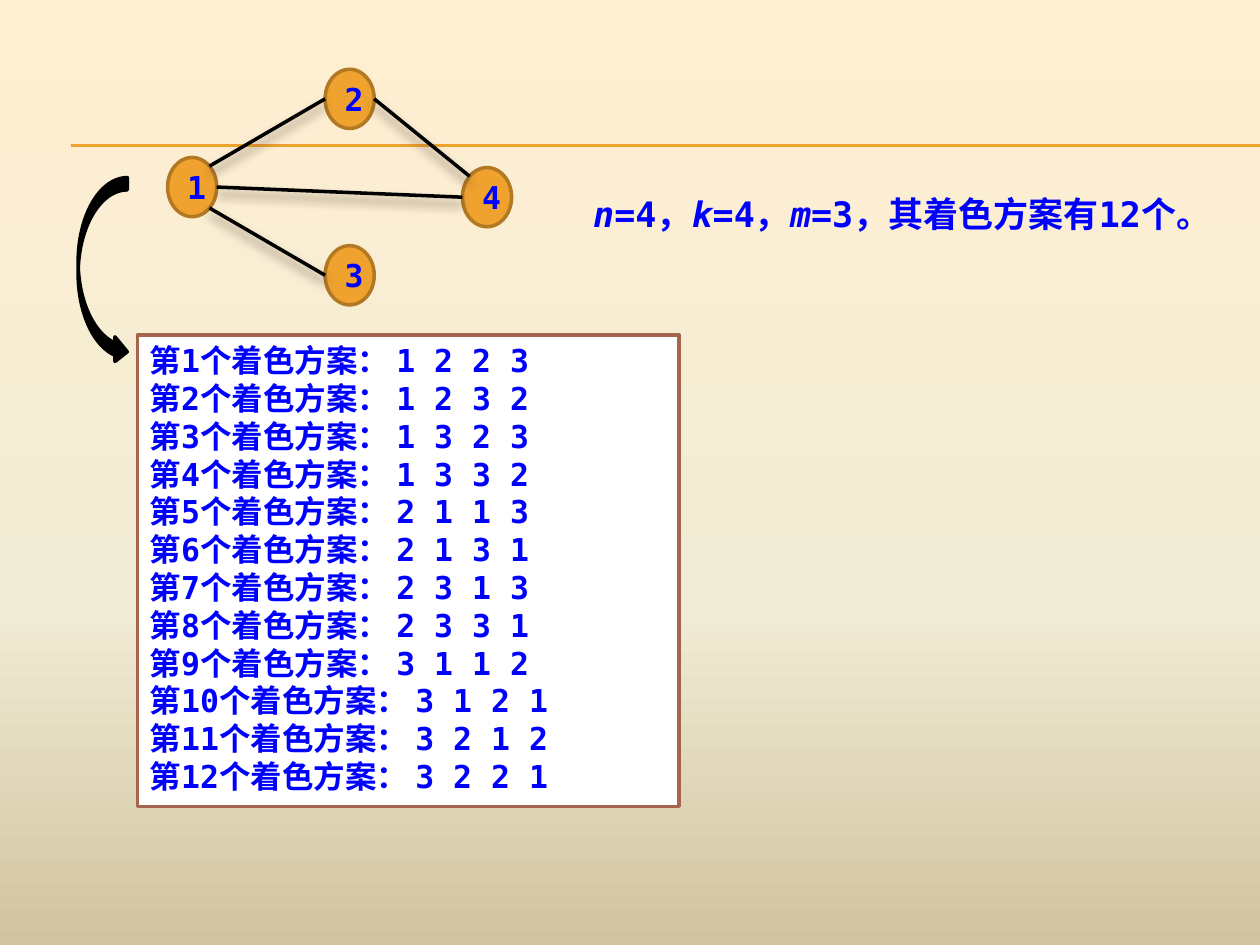
from copy import deepcopy
from math import sqrt

from lxml.etree import SubElement as Sub
from pptx import Presentation
from pptx.dml.color import RGBColor
from pptx.enum.shapes import MSO_CONNECTOR as Link, MSO_SHAPE as Form
from pptx.enum.text import MSO_ANCHOR as Anchor, PP_ALIGN as Align
from pptx.oxml.ns import qn
from pptx.util import Inches, Pt

FONT = "DejaVu Sans Mono"
INK, BLACK, GOLD = "0000FF", "000000", "F0A22E"
STOPS = [(0, "FFEFD1"), (65, "F0EBD5"), (100, "D1C39F")]
NODE_W, NODE_H = 0.39, 0.47
NODES = {"1": (0, 0.7), "2": (1.25, 0), "3": (1.25, 1.4), "4": (2.34, 0.78)}
DIAG = sqrt(0.5)
# Each end is a node and the direction from its centre to its rim.
EDGES = [
    (("1", DIAG, -DIAG), ("2", -1, 0)),
    (("1", DIAG, DIAG), ("3", -1, 0)),
    (("1", 1, 0), ("4", -1, 0)),
    (("2", 1, 0), ("4", -DIAG, -DIAG)),
]
PLANS = ["1 2 2 3", "1 2 3 2", "1 3 2 3", "1 3 3 2", "2 1 1 3", "2 1 3 1",
         "2 3 1 3", "2 3 3 1", "3 1 1 2", "3 1 2 1", "3 2 1 2", "3 2 2 1"]


def color(code):
    return RGBColor.from_string(code)


def paint_back(slide):
    fill = slide.background.fill
    fill.gradient()
    fill.gradient_angle = 270
    stops = slide._element.find(".//" + qn("a:gsLst"))
    stops.insert(1, deepcopy(stops[0]))
    for stop, (place, code) in zip(fill.gradient_stops, STOPS):
        stop.position = place / 100
        stop.color.rgb = color(code)


def add_run(para, text, size, slant=False):
    run = para.add_run()
    run.text = text
    font = run.font
    font.name, font.size, font.bold, font.italic = FONT, Pt(size), True, slant
    font.color.rgb = color(INK)


def add_form(slide, kind, box, fill, edge):
    shape = slide.shapes.add_shape(kind, *map(Inches, box))
    shape.shadow.inherit = False
    shape.fill.solid()
    shape.fill.fore_color.rgb = color(fill)
    shape.line.color.rgb = color(edge)
    shape.line.width = Pt(2)
    return shape


def add_line(slide, start, end, code, width):
    """Add a line and return its empty effect list."""
    line = slide.shapes.add_connector(
        Link.STRAIGHT, *map(Inches, (*start, *end)))
    line.line.color.rgb = color(code)
    line.line.width = Pt(width)
    return Sub(line._element.spPr, qn("a:effectLst"))


def add_shade(effects):
    shade = Sub(effects, qn("a:outerShdw"), blurRad=str(Pt(6)),
                dist=str(Pt(4)), dir="5400000", rotWithShape="0")
    tint = Sub(shade, qn("a:srgbClr"), val="4E3B30")
    Sub(tint, qn("a:alpha"), val="60000")


def add_graph(slide, left, top):
    def rim(name, across, down):
        x, y = NODES[name]
        return (left + x + NODE_W / 2 * (1 + across),
                top + y + NODE_H / 2 * (1 + down))

    for name, (x, y) in NODES.items():
        box = (left + x, top + y, NODE_W, NODE_H)
        frame = add_form(slide, Form.OVAL, box, GOLD, "B27822").text_frame
        frame.vertical_anchor = Anchor.MIDDLE
        para = frame.paragraphs[0]
        para.alignment = Align.CENTER
        add_run(para, name, 18)
    for start, end in EDGES:
        add_shade(add_line(slide, rim(*start), rim(*end), BLACK, 2))


def add_note(slide, box):
    frame = slide.shapes.add_textbox(*map(Inches, box)).text_frame
    frame.word_wrap = True
    parts = [("n", "=4，"), ("k", "=4，"), ("m", "=3，其着色方案有12个。")]
    for name, rest in parts:
        add_run(frame.paragraphs[0], name, 20, True)
        add_run(frame.paragraphs[0], rest, 20)


def add_plans(slide, box):
    frame = add_form(slide, Form.RECTANGLE, box, "FFFFFF", "A5644E").text_frame
    frame.vertical_anchor = Anchor.TOP
    for num, plan in enumerate(PLANS, 1):
        para = frame.paragraphs[0] if num == 1 else frame.add_paragraph()
        para.alignment = Align.LEFT
        add_run(para, f"第{num}个着色方案： {plan}", 18)


def main():
    deck = Presentation()
    deck.slide_width, deck.slide_height = Inches(10), Inches(7.5)
    slide = deck.slides.add_slide(deck.slide_layouts[6])
    paint_back(slide)
    for y in (1.15, 1.16):
        add_line(slide, (0.56, y), (10, y), GOLD, 0.75)
    add_graph(slide, 1.33, 0.55)
    add_note(slide, (4.61, 1.48, 5.16, 0.44))
    add_plans(slide, (1.09, 2.66, 4.3, 3.74))
    add_form(slide, Form.CURVED_RIGHT_ARROW, (0.62, 1.41, 0.39, 1.48),
             BLACK, BLACK)
    deck.save("out.pptx")


if __name__ == "__main__":
    main()
